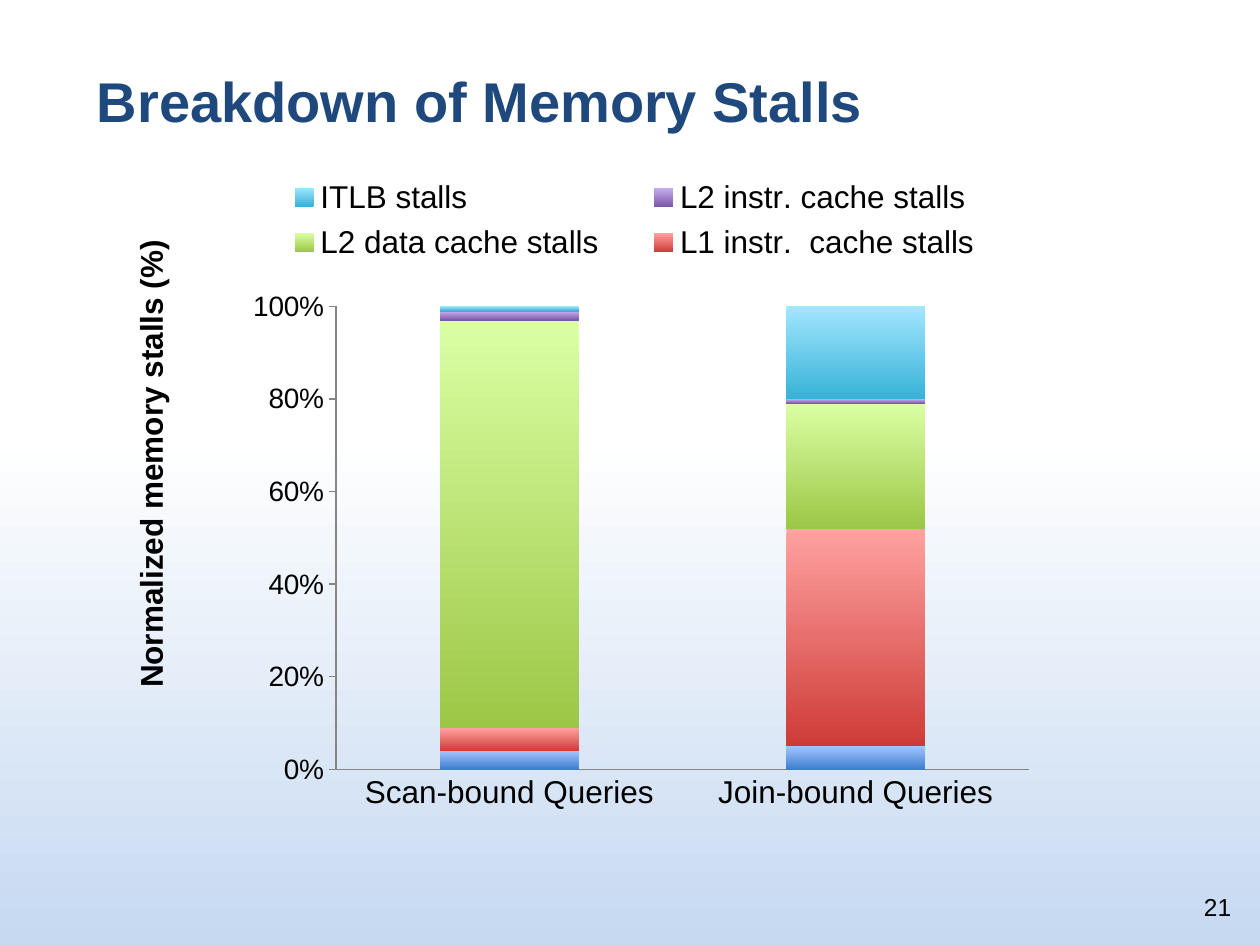
"""Build the slide on the breakdown of memory stalls."""
from dataclasses import dataclass

from lxml import etree
from pptx import Presentation
from pptx import util as u
from pptx.chart.data import CategoryChartData
from pptx.dml.color import RGBColor
from pptx.enum import chart as charts, text
from pptx.oxml.ns import qn

COLORS = {
    "title": "1F497D", "text": "000000", "axis": "868686",
    "top": "FFFFFF", "bottom": "C6D9F1",
}


@dataclass
class Label:
    words: str
    box: tuple[float, float, float, float]
    size: int
    color: str
    bold: bool = False
    align: text.PP_ALIGN = text.PP_ALIGN.LEFT


@dataclass
class Stall:
    name: str
    values: tuple[int, int]
    light: str
    dark: str


LABELS = [
    Label("Breakdown of Memory Stalls", (0.67, 0.33, 8.5, 0.78), 32, "title", True),
    Label("21", (7.79, 6.86, 2.08, 0.5), 14, "text", align=text.PP_ALIGN.RIGHT),
]
QUERIES = ["Scan-bound Queries", "Join-bound Queries"]
STALLS = [
    Stall("L1 data cache stalls", (4, 5), "A3C4FF", "3E7FCE"),
    Stall("L1 instr.  cache stalls", (5, 47), "FFA2A0", "CE3B37"),
    Stall("L2 data cache stalls", (89, 27), "DAFFA4", "9CC746"),
    Stall("L2 instr. cache stalls", (2, 1), "C9B0F0", "7D57A8"),
    Stall("ITLB stalls", (1, 20), "A3E6FF", "36B3D8"),
]


def set_font(font, size: int, color: str, bold: bool = False) -> None:
    """Apply the slide's typeface with the given size and colour."""
    values = {"name": "Arial", "size": u.Pt(size), "bold": bold}
    for name, value in values.items():
        setattr(font, name, value)
    font.color.rgb = RGBColor.from_string(COLORS[color])


def set_gradient(fill, stops: list[tuple[float, str]]) -> None:
    """Fill from top to bottom with two colour stops."""
    fill.gradient()
    fill.gradient_angle = 270
    for stop, (position, color) in zip(fill.gradient_stops, stops):
        stop.position = position
        stop.color.rgb = RGBColor.from_string(color)


def add_label(slide, label: Label) -> None:
    """Add a bottom-anchored text box."""
    shape = slide.shapes.add_textbox(*map(u.Inches, label.box))
    frame = shape.text_frame
    frame.word_wrap = True
    frame.vertical_anchor = text.MSO_ANCHOR.BOTTOM
    paragraph = frame.paragraphs[0]
    paragraph.alignment = label.align
    run = paragraph.add_run()
    run.text = label.words
    set_font(run.font, label.size, label.color, label.bold)


def place(element, index: int, inner: bool = False, **fractions: float) -> None:
    """Give a chart part a manual layout in fractions of the chart."""
    for old in element.findall(qn("c:layout")):
        element.remove(old)
    layout = etree.Element(qn("c:layout"))
    manual = etree.SubElement(layout, qn("c:manualLayout"))
    values = {"layoutTarget": "inner"} if inner else {}
    values |= {"xMode": "edge", "yMode": "edge"} | fractions
    for name, value in values.items():
        etree.SubElement(manual, qn(f"c:{name}")).set("val", str(value))
    element.insert(index, layout)


def format_axes(chart) -> None:
    """Style both axes and the rotated value title."""
    for axis, size, tick in (
        (chart.category_axis, 18, charts.XL_TICK_MARK.NONE),
        (chart.value_axis, 16, charts.XL_TICK_MARK.OUTSIDE),
    ):
        values = {"has_major_gridlines": False, "major_tick_mark": tick,
                  "minor_tick_mark": charts.XL_TICK_MARK.NONE}
        for name, value in values.items():
            setattr(axis, name, value)
        set_font(axis.tick_labels.font, size, "text")
        axis.format.line.color.rgb = RGBColor.from_string(COLORS["axis"])
        axis.format.line.width = u.Pt(0.75)
    axis = chart.value_axis
    axis.major_unit = 0.2
    axis.tick_labels.number_format = "0%"
    axis.tick_labels.number_format_is_linked = False
    run = axis.axis_title.text_frame.paragraphs[0].add_run()
    run.text = "Normalized memory stalls (%)"
    set_font(run.font, 18, "text", True)
    title = chart.element.find(".//" + qn("c:valAx")).find(qn("c:title"))
    body = title.find(".//" + qn("a:bodyPr"))
    body.set("rot", "-5400000")
    body.set("vert", "horz")
    place(title, 1, x=0.06, y=0.12)


def format_legend(chart) -> None:
    """Place the legend above the columns, without the first series."""
    chart.has_legend = True
    legend = chart.legend
    legend.position = charts.XL_LEGEND_POSITION.RIGHT
    legend.include_in_layout = False
    set_font(legend.font, 18, "text")
    element = chart.element.find(".//" + qn("c:legend"))
    entry = etree.Element(qn("c:legendEntry"))
    for name, value in (("idx", "0"), ("delete", "1")):
        etree.SubElement(entry, qn(f"c:{name}")).set("val", value)
    element.insert(1, entry)
    place(element, 2, x=0.19, y=0.03, w=0.8, h=0.14)


def add_stall_chart(slide) -> None:
    """Add the stacked column chart of stall shares."""
    data = CategoryChartData()
    data.categories = QUERIES
    for stall in STALLS:
        data.add_series(stall.name, stall.values)
    box = map(u.Inches, (0.53, 1.17, 7.64, 5.74))
    chart = slide.shapes.add_chart(
        charts.XL_CHART_TYPE.COLUMN_STACKED_100, *box, data).chart
    chart.has_title = False
    set_font(chart.font, 18, "text")
    plot = chart.plots[0]
    for name, value in {"gap_width": 150, "overlap": 100, "vary_by_categories": False}.items():
        setattr(plot, name, value)
    for series, stall in zip(plot.series, STALLS):
        set_gradient(series.format.fill, [(0, stall.light), (1, stall.dark)])
    format_axes(chart)
    format_legend(chart)
    place(chart.element.find(".//" + qn("c:plotArea")), 0, inner=True,
          x=0.28, y=0.22, w=0.72, h=0.64)


def main() -> None:
    """Build and save the presentation."""
    presentation = Presentation()
    presentation.slide_width = u.Inches(10)
    presentation.slide_height = u.Inches(7.5)
    slide = presentation.slides.add_slide(presentation.slide_layouts[6])
    set_gradient(slide.background.fill, [(0.46, COLORS["top"]), (1, COLORS["bottom"])])
    add_stall_chart(slide)
    for label in LABELS:
        add_label(slide, label)
    presentation.save("out.pptx")


if __name__ == "__main__":
    main()
